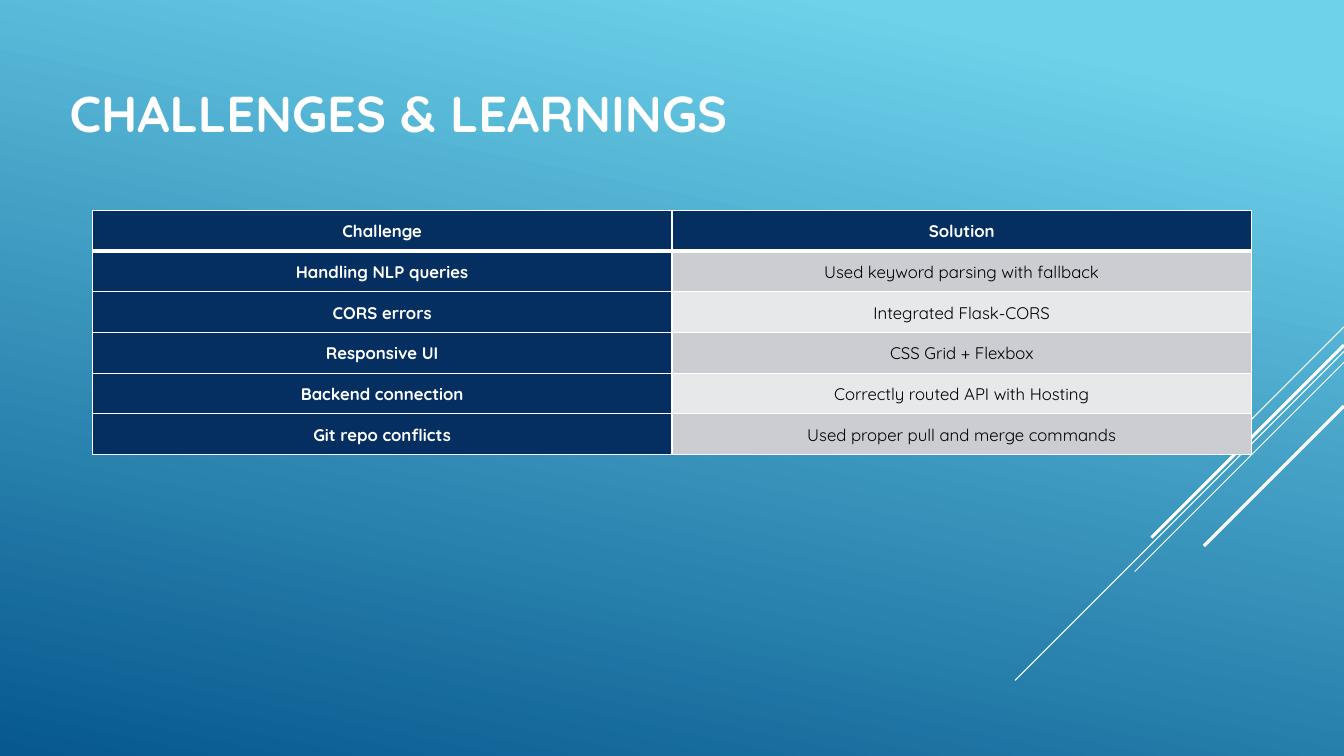
"""Build the "Challenges & Learnings" slide with a two-column table."""
from dataclasses import dataclass

from lxml import etree
from pptx import Presentation
from pptx.dml.color import RGBColor
from pptx.enum.shapes import MSO_CONNECTOR
from pptx.enum.text import MSO_ANCHOR, MSO_AUTO_SIZE, PP_ALIGN
from pptx.oxml.ns import qn
from pptx.util import Pt

STRAIGHT = MSO_CONNECTOR.STRAIGHT
MIDDLE = MSO_ANCHOR.MIDDLE
LEFT, CENTER = PP_ALIGN.LEFT, PP_ALIGN.CENTER
NO_AUTOFIT = MSO_AUTO_SIZE.NONE
TITLE_ONLY = 5
SLIDE_WIDTH, SLIDE_HEIGHT = 960, 540


@dataclass(frozen=True)
class Theme:
    font: str = "Quicksand"
    title_size: float = 36
    cell_size: float = 12
    sky: RGBColor = RGBColor.from_string("6ED2EB")
    ocean: RGBColor = RGBColor.from_string("06588E")
    navy: RGBColor = RGBColor.from_string("052F61")
    band_dark: RGBColor = RGBColor.from_string("CCCDD2")
    band_light: RGBColor = RGBColor.from_string("E7E8EA")
    white: RGBColor = RGBColor.from_string("FFFFFF")
    black: RGBColor = RGBColor.from_string("000000")


THEME = Theme()

# Each diagonal: start height at the right edge, horizontal run, width.
DIAGONALS = [
    (233.5, 72, 0.75),
    (251, 235, 0.75),
    (258.8, 149.5, 0.75),
    (246.5, 137.5, 2.25),
    (290, 100, 2.25),
]

ROWS = [
    ("Challenge", "Solution"),
    ("Handling NLP queries", "Used keyword parsing with fallback"),
    ("CORS errors", "Integrated Flask-CORS"),
    ("Responsive UI", "CSS Grid + Flexbox"),
    ("Backend connection", "Correctly routed API with Hosting"),
    ("Git repo conflicts", "Used proper pull and merge commands"),
]


def paint_background(slide):
    """Fill the slide with the diagonal blue gradient."""
    fill = slide.background.fill
    fill.gradient()
    fill.gradient_angle = 360 - 102
    stops = [(0.1, THEME.sky), (1.0, THEME.ocean)]
    for stop, (position, color) in zip(fill.gradient_stops, stops):
        stop.position = position
        stop.color.rgb = color


def add_run(paragraph, text, size, color, bold):
    """Append one formatted run to a paragraph."""
    run = paragraph.add_run()
    run.text = text
    run.font.name = THEME.font
    run.font.size = Pt(size)
    run.font.bold = bold
    run.font.color.rgb = color


def add_title(slide, text):
    """Place and format the title placeholder."""
    title = slide.shapes.title
    title.left, title.top = Pt(42.5), Pt(21)
    title.width, title.height = Pt(672), Pt(119)
    frame = title.text_frame
    frame.auto_size = NO_AUTOFIT
    frame.vertical_anchor = MIDDLE
    paragraph = frame.paragraphs[0]
    paragraph.alignment = LEFT
    add_run(paragraph, text, THEME.title_size, THEME.white, True)


def add_diagonal(slide, top, run, width):
    """Draw a white 45-degree line down from the right edge."""
    line = slide.shapes.add_connector(
        STRAIGHT, Pt(SLIDE_WIDTH), Pt(top), Pt(SLIDE_WIDTH - run), Pt(top + run)
    )
    line.line.color.rgb = THEME.white
    line.line.width = Pt(width)
    etree.SubElement(line._element.spPr, qn("a:effectLst"))


def set_borders(cell, widths):
    """Give a cell white borders, keyed by side tag."""
    properties = cell._tc.get_or_add_tcPr()
    for index, (side, width) in enumerate(widths.items()):
        border = etree.Element(qn(f"a:{side}"), w=str(Pt(width)))
        fill = etree.SubElement(border, qn("a:solidFill"))
        etree.SubElement(fill, qn("a:srgbClr"), val=str(THEME.white))
        properties.insert(index, border)


def cell_style(row, column):
    """Return fill, text colour and weight for a table position."""
    if row == 0 or column == 0:
        return THEME.navy, THEME.white, True
    band = THEME.band_dark if row % 2 else THEME.band_light
    return band, THEME.black, False


def format_cell(cell, text, row, column):
    """Write and style one table cell."""
    background, color, bold = cell_style(row, column)
    cell.fill.solid()
    cell.fill.fore_color.rgb = background
    cell.vertical_anchor = MIDDLE
    cell.margin_left = cell.margin_right = Pt(0.75)
    cell.margin_top = cell.margin_bottom = Pt(0.75)
    paragraph = cell.text_frame.paragraphs[0]
    paragraph.alignment = CENTER
    paragraph.line_spacing = 1.07
    add_run(paragraph, text, THEME.cell_size, color, bold)
    top = 3 if row == 1 else 1
    bottom = 3 if row == 0 else 1
    set_borders(cell, {"lnL": 1, "lnR": 1, "lnT": top, "lnB": bottom})


def add_challenge_table(slide, rows):
    """Add the table of challenges and solutions."""
    row_height = 29.1
    frame = slide.shapes.add_table(
        len(rows), 2, Pt(66), Pt(150.2), Pt(828), Pt(row_height * len(rows))
    )
    table = frame.table
    for row, texts in enumerate(rows):
        table.rows[row].height = Pt(row_height)
        for column, text in enumerate(texts):
            format_cell(table.cell(row, column), text, row, column)


def main():
    """Build and save the presentation."""
    presentation = Presentation()
    presentation.slide_width = Pt(SLIDE_WIDTH)
    presentation.slide_height = Pt(SLIDE_HEIGHT)
    slide = presentation.slides.add_slide(presentation.slide_layouts[TITLE_ONLY])
    paint_background(slide)
    for diagonal in DIAGONALS:
        add_diagonal(slide, *diagonal)
    add_title(slide, "CHALLENGES & LEARNINGS")
    add_challenge_table(slide, ROWS)
    presentation.save("out.pptx")


if __name__ == "__main__":
    main()
